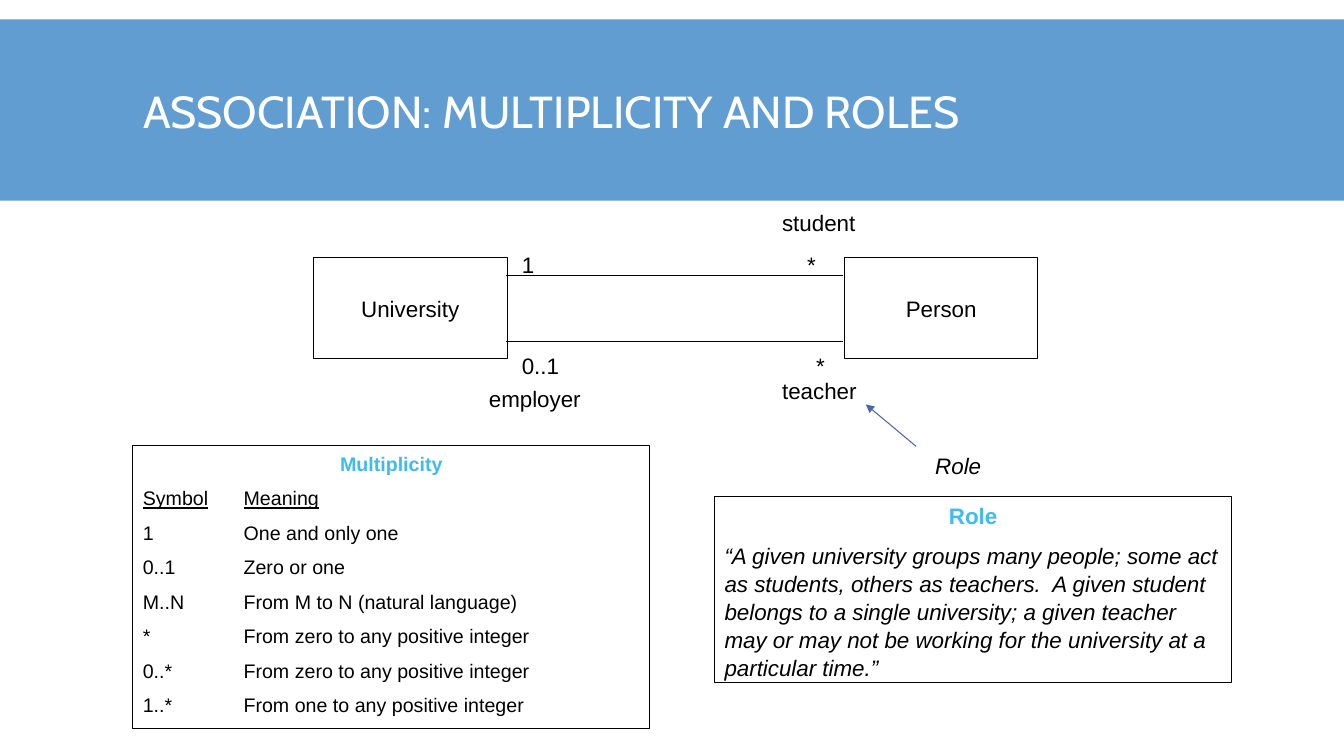
from lxml.etree import SubElement
from pptx import Presentation
from pptx.dml.color import RGBColor
from pptx.enum.shapes import MSO_CONNECTOR, MSO_SHAPE
from pptx.enum.text import MSO_ANCHOR, PP_ALIGN
from pptx.oxml.ns import qn
from pptx.util import Cm, Pt

BLACK = RGBColor(0x00, 0x00, 0x00)
WHITE = RGBColor(0xFF, 0xFF, 0xFF)
BAND_BLUE = RGBColor(0x62, 0x9D, 0xD1)
HEADING_BLUE = RGBColor(0x3E, 0xBB, 0xF0)
ARROW_BLUE = RGBColor(0x4A, 0x66, 0xAC)

TITLE = "ASSOCIATION: MULTIPLICITY AND ROLES"
MULTIPLICITIES = [
    ("1", "One and only one"),
    ("0..1", "Zero or one"),
    ("M..N", "From M to N (natural language)"),
    ("*", "From zero to any positive integer"),
    ("0..*", "From zero to any positive integer"),
    ("1..*", "From one to any positive integer"),
]
ROLE_TEXT = (
    "“A given university groups many people; some act as students, "
    "others as teachers.  A given student belongs to a single university; "
    "a given teacher may or may not be working for the university at a "
    "particular time.”"
)
LABELS = [  # text, left, top, width in cm
    ("student", 19.46, 5.11, 2.36),
    ("1", 12.9, 6.17, 0.81),
    ("*", 20.09, 6.17, 0.74),
    ("0..1", 12.9, 8.71, 1.45),
    ("*", 20.32, 8.71, 0.74),
    ("teacher", 19.46, 9.35, 2.39),
    ("employer", 12.07, 9.55, 2.82),
]


def add_run(p, text, size, color=BLACK, font="Arial"):
    r = p.add_run()
    r.text = text
    r.font.name = font
    r.font.size = Pt(size)
    r.font.color.rgb = color
    return r


def add_paragraph(tf, size):
    """Append a paragraph set half a line below the one before it."""
    p = tf.add_paragraph()
    p.space_before = Pt(size / 2)
    p.line_spacing = 1.05
    p.alignment = PP_ALIGN.LEFT
    return p


def add_title(s):
    band = s.shapes.add_shape(
        MSO_SHAPE.RECTANGLE, 0, Cm(0.49), Cm(33.87), Cm(4.57))
    band.shadow.inherit = False
    band.fill.solid()
    band.fill.fore_color.rgb = BAND_BLUE
    band.line.fill.background()

    title = s.shapes.title
    band._element.addnext(title._element)
    title.left, title.top = Cm(3.35), Cm(0.79)
    title.width, title.height = Cm(27.18), Cm(4.19)
    tf = title.text_frame
    tf.vertical_anchor = MSO_ANCHOR.MIDDLE
    p = tf.paragraphs[0]
    p.alignment = PP_ALIGN.LEFT
    p.line_spacing = 0.85
    add_run(p, TITLE, 32, WHITE, "Cabin")


def add_box(s, left, top, width, height):
    sp = s.shapes.add_shape(
        MSO_SHAPE.RECTANGLE, Cm(left), Cm(top), Cm(width), Cm(height))
    sp.shadow.inherit = False
    sp.fill.background()
    sp.line.color.rgb = BLACK
    sp.line.width = Pt(0.75)
    return sp


def add_class(s, name, left):
    p = add_box(s, left, 6.5, 4.88, 2.54).text_frame.paragraphs[0]
    p.alignment = PP_ALIGN.CENTER
    add_run(p, name, 16)


def add_panel(s, heading, size, left, top, height):
    """Draw an outlined, top-anchored box with a heading; return its text frame."""
    tf = add_box(s, left, top, 13.03, height).text_frame
    tf.word_wrap = True
    tf.vertical_anchor = MSO_ANCHOR.TOP
    p = tf.paragraphs[0]
    p.alignment = PP_ALIGN.CENTER
    p.line_spacing = 1.05
    add_run(p, heading, size, HEADING_BLUE).font.bold = True
    return tf


def add_tab_stop(p, position):
    tabs = SubElement(p._p.get_or_add_pPr(), qn("a:tabLst"))
    SubElement(tabs, qn("a:tab"), pos=str(position), algn="l")


def add_multiplicity_panel(s):
    tf = add_panel(s, "Multiplicity", 14, 3.35, 11.23, 7.14)
    for row in [("Symbol", "Meaning"), *MULTIPLICITIES]:
        p = add_paragraph(tf, 14)
        add_tab_stop(p, Cm(2.54))
        for text in (row[0], "\t", row[1]):
            r = add_run(p, text, 14)
            r.font.underline = row[0] == "Symbol" and text != "\t"


def add_role_panel(s):
    tf = add_panel(s, "Role", 16, 18.01, 12.5, 4.7)
    add_run(add_paragraph(tf, 16), ROLE_TEXT, 16).font.italic = True


def add_label(s, text, left, top, width, italic=False):
    tf = s.shapes.add_textbox(
        Cm(left), Cm(top), Cm(width), Cm(0.94)).text_frame
    tf.word_wrap = False
    p = tf.paragraphs[0]
    p.line_spacing = 1.05
    add_run(p, text, 16).font.italic = italic


def add_line(s, x1, y1, x2, y2, color=BLACK):
    line = s.shapes.add_connector(
        MSO_CONNECTOR.STRAIGHT, Cm(x1), Cm(y1), Cm(x2), Cm(y2))
    line.line.color.rgb = color
    line.line.width = Pt(0.75)
    SubElement(line._element.spPr, qn("a:effectLst"))
    return line


def add_arrow(s, x1, y1, x2, y2):
    arrow = add_line(s, x1, y1, x2, y2, ARROW_BLUE)
    SubElement(arrow.line._get_or_add_ln(), qn("a:tailEnd"), type="triangle")


def main():
    prs = Presentation()
    prs.slide_width, prs.slide_height = Cm(33.87), Cm(19.05)
    s = prs.slides.add_slide(prs.slide_layouts[5])
    add_title(s)
    add_multiplicity_panel(s)
    add_role_panel(s)
    add_class(s, "University", 7.9)
    add_class(s, "Person", 21.28)
    for y in (6.93, 8.61):
        add_line(s, 12.76, y, 21.24, y)
    for label in LABELS:
        add_label(s, *label)
    add_label(s, "Role", 23.32, 11.23, 1.68, italic=True)
    add_arrow(s, 23.09, 11.25, 21.82, 10.19)
    prs.save("out.pptx")


if __name__ == "__main__":
    main()
